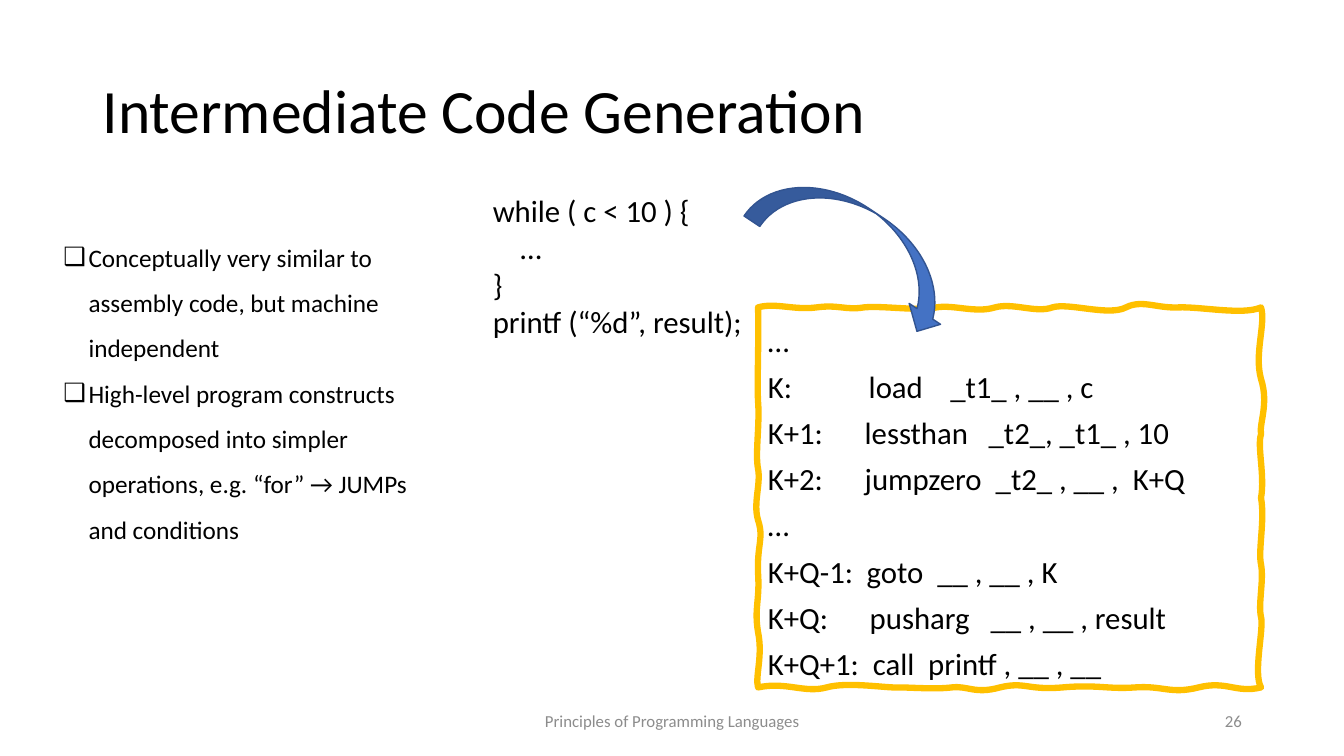
from lxml.etree import SubElement
from pptx import Presentation
from pptx.dml.color import RGBColor
from pptx.enum.shapes import MSO_SHAPE
from pptx.enum.text import MSO_ANCHOR, PP_ALIGN
from pptx.oxml.ns import qn
from pptx.util import Inches, Pt

THEME = {
    "text": RGBColor.from_string("000000"),
    "muted": RGBColor.from_string("8C8C8C"),
    "frame": RGBColor.from_string("FFC000"),
    "arrow": RGBColor.from_string("4472C4"),
    "arrow edge": RGBColor.from_string("325491"),
    "font": "Calibri", "bullet font": "Arial",
    "title": Pt(44), "code": Pt(22), "body": Pt(18), "footer": Pt(12),
}

# Grid of fine square cells: 1333 columns by 750 rows
CELL = Inches(0.01)
COLUMNS, ROWS = 1333.33, 750

deck = Presentation()
deck.slide_width, deck.slide_height = int(COLUMNS * CELL), ROWS * CELL
page = deck.slides.add_slide(deck.slide_layouts[6])


def write(frame, lines, size, color="text", spacing=1.0, align=PP_ALIGN.LEFT,
          anchor=MSO_ANCHOR.TOP, wrap=True, bullet=None, stops=()):
    """Fill a text frame with one paragraph per line."""
    frame.word_wrap, frame.vertical_anchor = wrap, anchor
    for number, line in enumerate(lines):
        para = frame.paragraphs[0] if number == 0 else frame.add_paragraph()
        para.text = line
        para.alignment, para.line_spacing = align, spacing
        properties = para._p.get_or_add_pPr()
        if bullet:
            properties.set("marL", str(25 * CELL))
            properties.set("indent", str(-25 * CELL))
            SubElement(properties, qn("a:buFont"), typeface=THEME["bullet font"])
            SubElement(properties, qn("a:buChar"), char=bullet)
        if stops and stops[number]:
            tabs = SubElement(properties, qn("a:tabLst"))
            for stop in stops[number]:
                SubElement(tabs, qn("a:tab"), pos=str(stop * CELL), algn="l")
        for span in para.runs:
            look = {"name": THEME["font"], "size": THEME[size]}
            for name, value in look.items():
                setattr(span.font, name, value)
            span.font.color.rgb = THEME[color]


# Title, footer, bullets and source code
text_boxes = [
    ((92, 40, 863, 145), ["Intermediate Code Generation"],
     {"size": "title", "spacing": 0.9, "anchor": MSO_ANCHOR.MIDDLE}),
    ((442, 695, 450, 40), ["Principles of Programming Languages"],
     {"size": "footer", "color": "muted", "align": PP_ALIGN.CENTER,
      "anchor": MSO_ANCHOR.MIDDLE}),
    ((942, 695, 300, 40), ["26"],
     {"size": "footer", "color": "muted", "align": PP_ALIGN.RIGHT,
      "anchor": MSO_ANCHOR.MIDDLE}),
    ((53, 220, 401, 323),
     ["Conceptually very similar to assembly code, but machine independent",
      "High-level program constructs decomposed into simpler operations, "
      "e.g. “for” → JUMPs and conditions"],
     {"size": "body", "spacing": 1.5, "bullet": "❑"}),
    ((479, 185, 271, 158),
     ["while ( c < 10 ) {\n    …", "}", "printf (“%d”, result);"],
     {"size": "code", "wrap": False}),
]
for place, lines, look in text_boxes:
    box = page.shapes.add_textbox(*(cells * CELL for cells in place))
    write(box.text_frame, lines, **look)

# Hand-drawn frame: each edge has a base line and waves, a wave being
# (along, offset) of two curve handles and the place where it ends
LEFT, TOP, RIGHT, BOTTOM = 752, 305, 1251, 682
edges = [
    (TOP, True, [
        (769, -5, 788, 3, 810), (832, -3, 839, 3, 857),
        (875, -2, 913, 4, 929), (946, -3, 968, 6, 987),
        (1005, -5, 1028, 6, 1044), (1060, -5, 1100, 9, 1117),
        (1133, -8, 1147, 1, 1169), (1191, -1, 1233, 8, RIGHT)]),
    (RIGHT, False, [
        (321, 5, 351, -7, 376), (401, 8, 420, -2, 431),
        (442, -4, 472, 4, 494), (516, 4, 546, -3, 560),
        (575, 3, 600, -3, 612), (624, 3, 668, -8, BOTTOM)]),
    (BOTTOM, True, [
        (1226, 6, 1217, -7, 1189), (1161, 7, 1154, -2, 1126),
        (1099, 2, 1089, -3, 1054), (1019, 3, 1017, -6, 992),
        (967, 7, 960, -2, 944), (929, 2, 903, 0, 892),
        (881, 1, 841, -6, 820), (798, 6, 780, -6, LEFT)]),
    (LEFT, False, [
        (671, -3, 651, 5, 627), (603, -4, 596, 2, 568),
        (540, -1, 534, 6, 516), (499, -5, 480, 3, 465),
        (450, -3, 420, 2, 398), (377, -1, 334, 1, TOP)]),
]
curves = []
for base, horizontal, waves in edges:
    for first, first_offset, second, second_offset, end in waves:
        points = [(first, base + first_offset), (second, base + second_offset),
                  (end, base)]
        curves.append(points if horizontal else [(x, y) for y, x in points])
builder = page.shapes.build_freeform(LEFT, TOP, scale=CELL)
builder.add_line_segments([points[-1] for points in curves], close=True)
wavy_frame = builder.convert_to_shape()

# Bend each straight segment into its curve
segments = list(wavy_frame._element.iter(qn("a:lnTo")))
for segment, points in zip(segments, curves):
    bend = SubElement(segment.getparent(), qn("a:cubicBezTo"))
    for x, y in points:
        SubElement(bend, qn("a:pt"), x=str(x - LEFT), y=str(y - TOP))
    segment.getparent().replace(segment, bend)

wavy_frame.shadow.inherit = False
wavy_frame.fill.background()
wavy_frame.line.color.rgb = THEME["frame"]
wavy_frame.line.width = Pt(4.5)

# Intermediate code: the parts of each line, and the tab stops between them
instructions = [
    (["…"], []),
    (["K:", "load", "_t1_ , __ , c"], [100, 181]),
    (["K+1:", "lessthan", "_t2_, _t1_ , 10"], [96, 219]),
    (["K+2:", "jumpzero", "_t2_ , __ ,", "K+Q"], [96, 226, 362]),
    (["…"], []),
    (["K+Q-1:", "goto", "__ , __ , K"], [98, 168]),
    (["K+Q:", "pusharg", "__ , __ , result"], [101, 221]),
    (["K+Q+1:", "call", "printf , __ , __"], [104, 159]),
]
write(wavy_frame.text_frame, ["\t".join(parts) for parts, stops in instructions],
      "code", spacing=1.25, stops=[stops for parts, stops in instructions])

# Arrow from the source code to the intermediate code
arrow = page.shapes.add_shape(
    MSO_SHAPE.CURVED_DOWN_ARROW, *(cells * CELL for cells in (740, 208, 225, 75)))
arrow.rotation = 33.7
arrow.shadow.inherit = False
arrow.fill.solid()
arrow.fill.fore_color.rgb = THEME["arrow"]
arrow.line.color.rgb = THEME["arrow edge"]
arrow.line.width = Pt(1)

deck.save("out.pptx")
